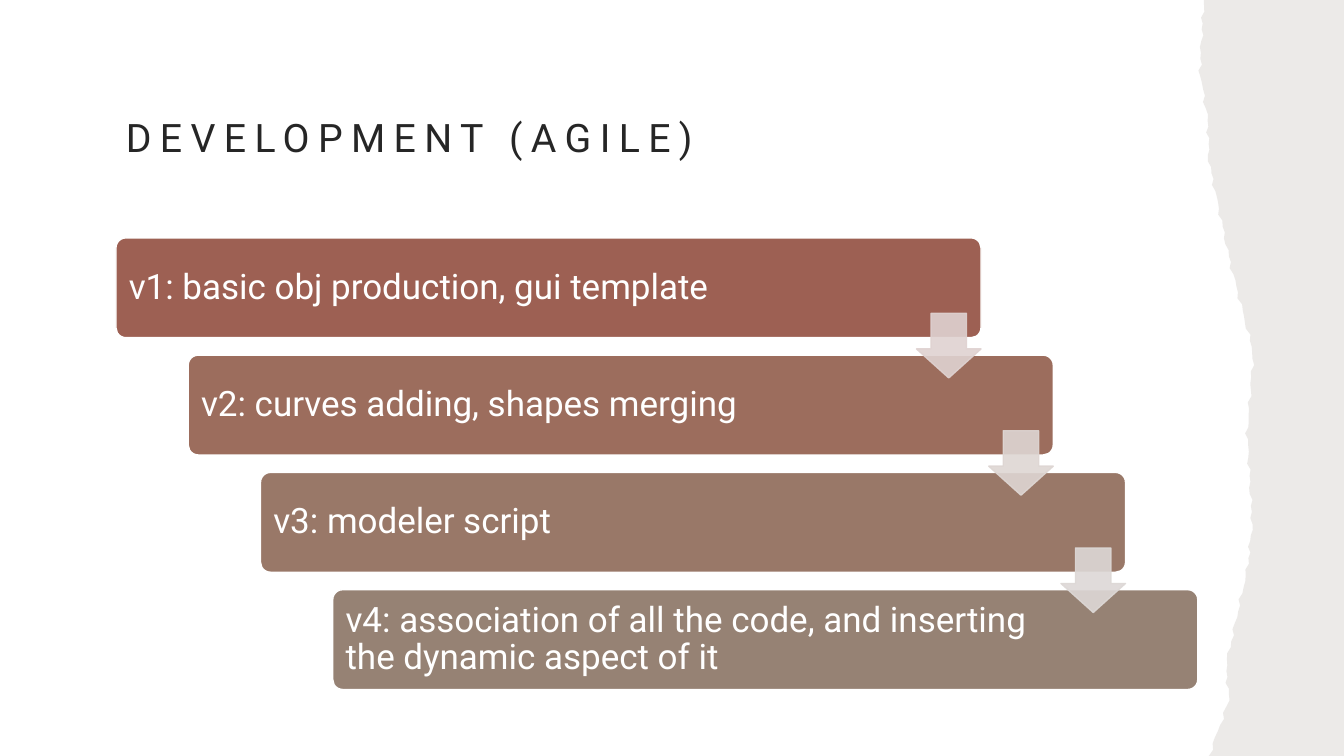
from itertools import pairwise
from math import sin

from lxml.etree import SubElement
from pptx import Presentation
from pptx.dml.color import RGBColor
from pptx.enum.shapes import MSO_SHAPE as Preset
from pptx.enum.text import MSO_ANCHOR as Anchor, PP_ALIGN as Align
from pptx.oxml.ns import qn
from pptx.util import Inches, Pt

FONT = "Roboto"
SLIDE_WIDTH, SLIDE_HEIGHT = 13.33, 7.5
COLORS = {
    "white": "FFFFFF",
    "title": "262626",
    "paper": "82766A",
    "v1": "9D6053",
    "v2": "9C6D5D",
    "v3": "997868",
    "v4": "968274",
    "after v1": "DFD2D1",
    "after v2": "DED6D3",
    "after v3": "DDD8D6",
}
VERSIONS = {
    "v1": "basic obj production, gui template",
    "v2": "curves adding, shapes merging",
    "v3": "modeler script",
    "v4": "association of all the code, and inserting the dynamic aspect of it",
}

CARD_WIDTH, CARD_HEIGHT = 8.58, 0.99
FIRST_LEFT, LAST_LEFT = 1.15, 3.3
FIRST_TOP, LAST_TOP = 2.36, 5.85
ARROW_SIZE, ARROW_DROP = 0.64, 0.75

TEAR_BENDS = [
    (11.94, 0), (11.9, 0.7), (11.98, 1.2), (11.99, 1.6), (12.2, 2.6),
    (12.43, 3.5), (12.37, 4.3), (12.42, 5.2), (12.37, 5.65),
    (12.16, 6.6), (12.19, 6.95), (11.99, SLIDE_HEIGHT),
]
TEAR_STEP, TEAR_ROUGHNESS = 0.06, 0.01


def between(start, end, share):
    return start + (end - start) * share


def torn_edge():
    edge = []
    for (x_start, y_start), (x_end, y_end) in pairwise(TEAR_BENDS):
        count = round((y_end - y_start) / TEAR_STEP)
        for index in range(count):
            x = between(x_start, x_end, index / count)
            y = between(y_start, y_end, index / count)
            ripple = TEAR_ROUGHNESS * (sin(23 * y) + sin(61 * y))
            edge.append((x + ripple, y))
    return edge + TEAR_BENDS[-1:]


def set_opacity(properties, percent):
    for color in properties.iter(qn("a:srgbClr")):
        SubElement(color, qn("a:alpha"), val=str(percent * 1000))


def paint(shape, color, line_color=None):
    shape.shadow.inherit = False
    shape.fill.solid()
    shape.fill.fore_color.rgb = RGBColor.from_string(color)
    if line_color is None:
        shape.line.fill.background()
    else:
        shape.line.color.rgb = RGBColor.from_string(line_color)
        shape.line.width = Pt(1)


def write(frame, text, size, color, line_spacing):
    frame.word_wrap = True
    frame.vertical_anchor = Anchor.MIDDLE
    paragraph = frame.paragraphs[0]
    paragraph.text = text
    paragraph.alignment = Align.LEFT
    paragraph.line_spacing = line_spacing
    paragraph.font.name = FONT
    paragraph.font.size = Pt(size)
    paragraph.font.color.rgb = RGBColor.from_string(color)
    return paragraph


def add_title(slide, text):
    title = slide.shapes.add_textbox(Inches(1.15), Inches(0.67), Inches(10.4), Inches(1.33))
    heading = write(title.text_frame, text, 28, COLORS["title"], 1.1)
    heading.runs[0].font._element.set("spc", "600")


def add_torn_paper(slide):
    corners = [(SLIDE_WIDTH, SLIDE_HEIGHT), (SLIDE_WIDTH, 0)]
    start, *rest = [(Inches(x), Inches(y)) for x, y in torn_edge() + corners]
    outline = slide.shapes.build_freeform(*start)
    outline.add_line_segments(rest, close=True)
    paper = outline.convert_to_shape()
    paint(paper, COLORS["paper"])
    set_opacity(paper._element.spPr, 15)


def add_version_card(slide, left, top, text, color):
    card = slide.shapes.add_shape(
        Preset.ROUNDED_RECTANGLE, Inches(left), Inches(top), Inches(CARD_WIDTH), Inches(CARD_HEIGHT)
    )
    card.adjustments[0] = 0.1
    paint(card, color, COLORS["white"])
    frame = card.text_frame
    frame.margin_left = frame.margin_top = frame.margin_bottom = Inches(0.1)
    frame.margin_right = Inches(1.46)
    write(frame, text, 25, COLORS["white"], 0.9).space_after = Pt(11)


def add_step_arrow(slide, left, top, color):
    arrow = slide.shapes.add_shape(
        Preset.DOWN_ARROW, Inches(left), Inches(top), Inches(ARROW_SIZE), Inches(ARROW_SIZE)
    )
    arrow.adjustments[0] = 0.55
    arrow.adjustments[1] = 0.45
    paint(arrow, color, color)
    set_opacity(arrow._element.spPr, 90)


def add_staircase(slide):
    last = len(VERSIONS) - 1
    corners = [
        (between(FIRST_LEFT, LAST_LEFT, step / last), between(FIRST_TOP, LAST_TOP, step / last))
        for step in range(len(VERSIONS))
    ]
    for (left, top), (version, goal) in zip(corners, VERSIONS.items()):
        add_version_card(slide, left, top, f"{version}: {goal}", COLORS[version])
    for (left, top), version in zip(corners[:-1], VERSIONS):
        arrow_left = left + CARD_WIDTH - ARROW_SIZE
        add_step_arrow(slide, arrow_left, top + ARROW_DROP, COLORS[f"after {version}"])


def main():
    deck = Presentation()
    deck.slide_width, deck.slide_height = Inches(SLIDE_WIDTH), Inches(SLIDE_HEIGHT)
    slide = deck.slides.add_slide(deck.slide_layouts[6])
    add_title(slide, "DEVELOPMENT (AGILE)")
    add_torn_paper(slide)
    add_staircase(slide)
    deck.save("out.pptx")


if __name__ == "__main__":
    main()
